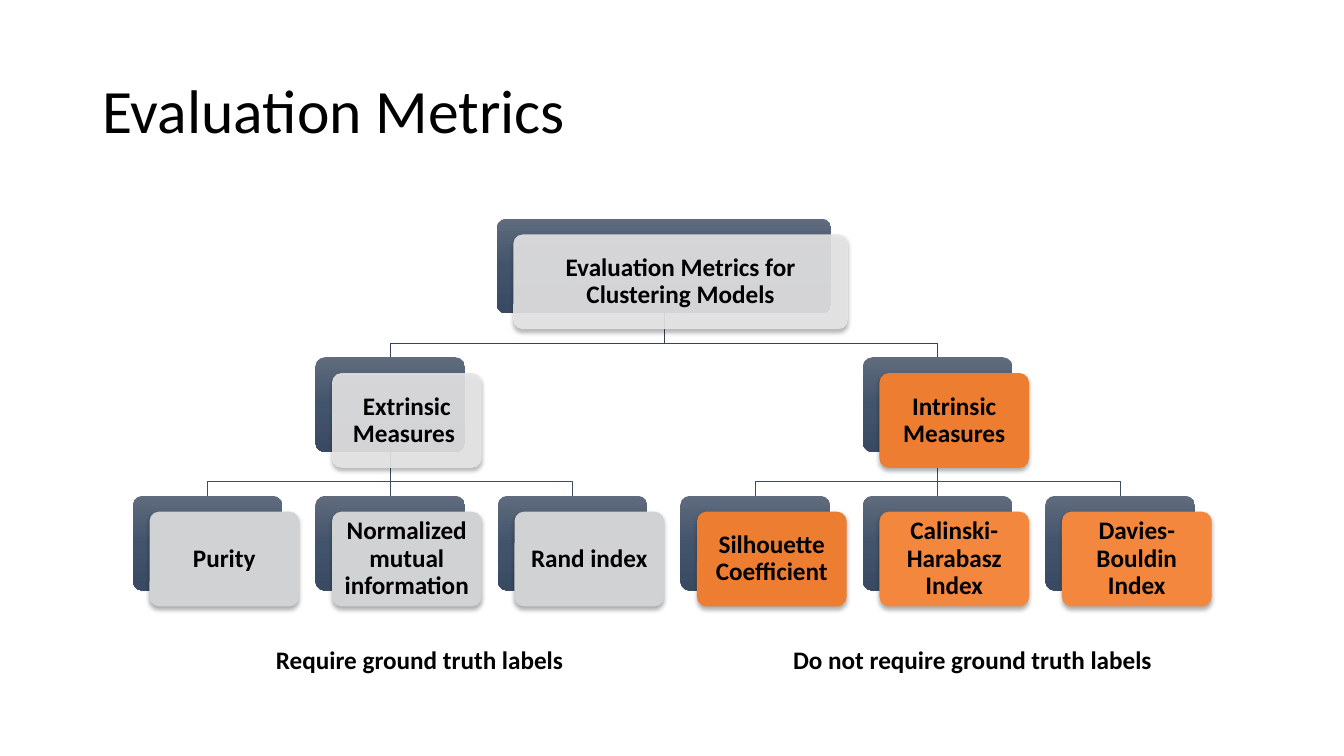
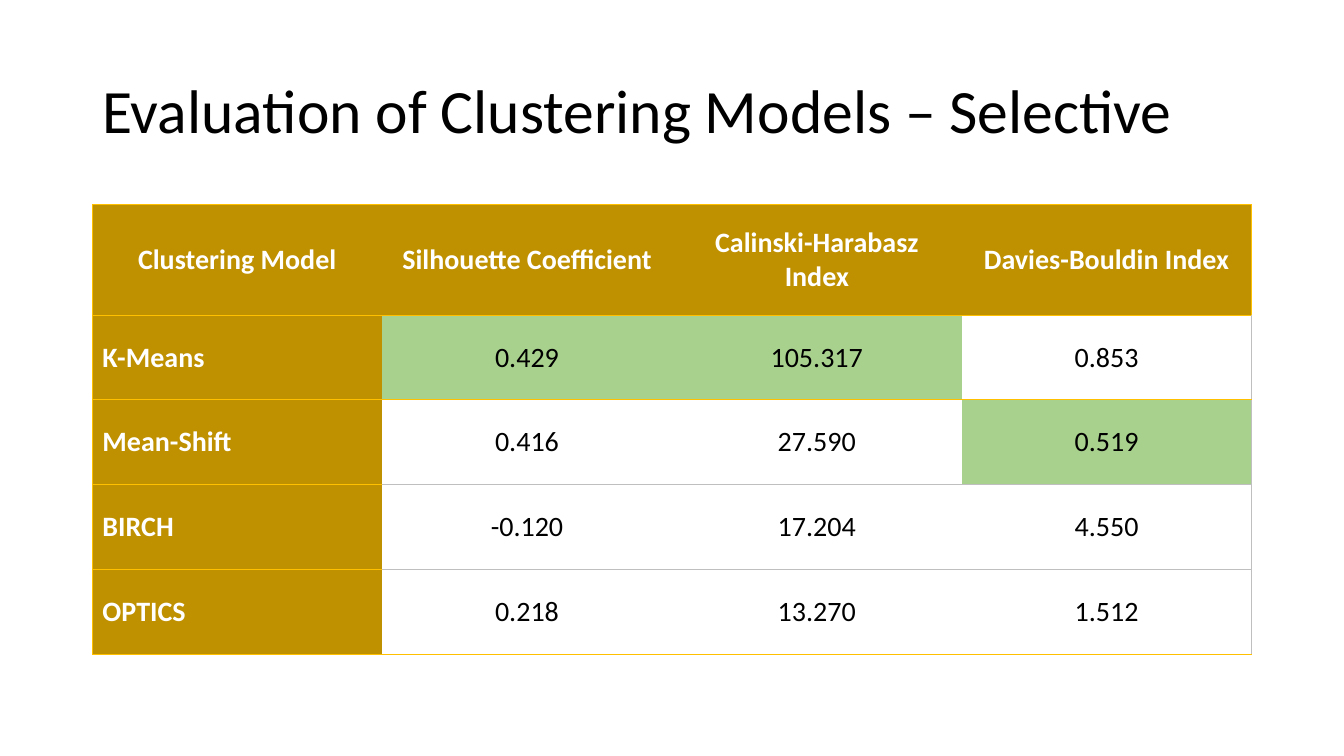
from copy import deepcopy
from dataclasses import dataclass
from typing import Any

from lxml import etree
from pptx import Presentation
from pptx.dml.color import RGBColor
from pptx.enum.shapes import MSO_CONNECTOR, MSO_SHAPE
from pptx.enum.text import MSO_ANCHOR, PP_ALIGN
from pptx.oxml.ns import qn
from pptx.util import Pt

ROUNDED = MSO_SHAPE.ROUNDED_RECTANGLE
STRAIGHT = MSO_CONNECTOR.STRAIGHT
MIDDLE, TOP = MSO_ANCHOR.MIDDLE, MSO_ANCHOR.TOP
LEFT, CENTER = PP_ALIGN.LEFT, PP_ALIGN.CENTER

BLACK, WHITE = "000000", "FFFFFF"
GRAY, PALE_GRAY = "D1D2D4", "E7E6E6"
ORANGE, LIGHT_ORANGE = "ED7D31", "F3873E"
GOLD, DARK_GOLD = "FFC000", "BF9000"
GREEN, RULE_GRAY = "A9D18E", "BFBFBF"
NAVY_STOPS = ((0, "606B7D"), (0.5, "42546C"), (1, "394A62"))

TITLE = {"name": "Calibri", "size": Pt(44), "bold": False}
LABEL = {"name": "Calibri", "size": Pt(18), "bold": True}
HEADING = {"name": "Calibri", "size": Pt(20), "bold": True}
VALUE = {"name": "Calibri", "size": Pt(20), "bold": False}

MARGIN, CONTENT_WIDTH = 66, 828
FIRST_CENTER, COLUMN_STEP = 148.4, 130.35
FIRST_TOP, LEVEL_STEP = 156.2, 99
NODE_WIDTH, ROOT_WIDTH, NODE_HEIGHT = 106.8, 239, 67.7
FRONT_X, FRONT_Y = 11.85, 11.3
BEND_RISE = 10.2
TABLE_TOP, HEADER_HEIGHT, ROW_HEIGHT = 146.3, 78.8, 60.5
NO_STYLE = "{2D5ABB26-0587-4C30-8999-92F81FD0307C}"


@dataclass(frozen=True)
class Node:
    text: str
    column: float
    level: int
    fill: str
    opacity: int = 100
    width: float = NODE_WIDTH
    children: tuple["Node", ...] = ()

    @property
    def center(self) -> float:
        return FIRST_CENTER + COLUMN_STEP * self.column

    @property
    def top(self) -> float:
        return FIRST_TOP + LEVEL_STEP * self.level


@dataclass(frozen=True)
class Caption:
    text: str
    left: float
    width: float


@dataclass(frozen=True)
class Model:
    name: str
    scores: tuple[str, ...]
    best: tuple[int, ...] = ()


EXTRINSIC = Node("Extrinsic Measures ", 1, 1, PALE_GRAY, 90, children=(
    Node("Purity", 0, 2, GRAY),
    Node("Normalized mutual information", 1, 2, GRAY),
    Node("Rand index", 2, 2, GRAY),
))
INTRINSIC = Node("Intrinsic Measures", 4, 1, ORANGE, children=(
    Node("Silhouette Coefficient", 3, 2, ORANGE),
    Node("Calinski-Harabasz Index", 4, 2, LIGHT_ORANGE),
    Node("Davies-Bouldin Index", 5, 2, LIGHT_ORANGE),
))
ROOT = Node("Evaluation Metrics for Clustering Models", 2.5, 0, PALE_GRAY, 90,
            ROOT_WIDTH, (EXTRINSIC, INTRINSIC))
CAPTIONS = (
    Caption("Require ground truth labels", 190, 243.4),
    Caption("Do not require ground truth labels", 559.4, 334.8),
)
HEADERS = ("Clustering Model", "Silhouette Coefficient",
           "Calinski-Harabasz Index", "Davies-Bouldin Index")
MODELS = (
    Model("K-Means", ("0.429", "105.317", "0.853"), (0, 1)),
    Model("Mean-Shift", ("0.416", "27.590", "0.519"), (2,)),
    Model("BIRCH", ("-0.120", "17.204", "4.550")),
    Model("OPTICS", ("0.218", "13.270", "1.512")),
)


def colour(value: str) -> RGBColor:
    return RGBColor.from_string(value)


def child(parent: Any, tag: str, **attributes: str) -> Any:
    return etree.SubElement(parent, qn(tag), attributes)


def write(frame: Any, text: str, font: dict, ink: str = BLACK,
          align: PP_ALIGN = LEFT, spacing: float = 1) -> None:
    para = frame.paragraphs[0]
    para.alignment = align
    para.line_spacing = spacing
    span = para.add_run()
    span.text = text
    for name, value in font.items():
        setattr(span.font, name, value)
    span.font.color.rgb = colour(ink)


def add_text(page: Any, text: str, left: float, top: float, width: float,
             height: float, font: dict, anchor: MSO_ANCHOR = TOP,
             spacing: float = 1) -> None:
    box = page.shapes.add_textbox(Pt(left), Pt(top), Pt(width), Pt(height))
    box.text_frame.word_wrap = True
    box.text_frame.vertical_anchor = anchor
    write(box.text_frame, text, font, spacing=spacing)


def add_page(deck: Any, title: str) -> Any:
    page = deck.slides.add_slide(deck.slide_layouts[6])
    add_text(page, title, MARGIN, 28.8, CONTENT_WIDTH, 104.4, TITLE, MIDDLE, 0.9)
    return page


def add_link(page: Any, parent: Node, target: Node) -> None:
    start = Pt(parent.center), Pt(parent.top + NODE_HEIGHT)
    end = Pt(target.center), Pt(target.top)
    if parent.column == target.column:
        link = page.shapes.add_connector(STRAIGHT, *start, *end)
        child(link._element.spPr, "a:effectLst")
    else:
        bend = Pt(target.top - BEND_RISE)
        outline = page.shapes.build_freeform(*start)
        outline.add_line_segments(
            [(start[0], bend), (end[0], bend), end], close=False)
        link = outline.convert_to_shape()
        link.fill.background()
        link.shadow.inherit = False
    link.line.color.rgb = colour("3E4C60" if parent.level else "364355")
    link.line.width = Pt(0.5)


def add_links(page: Any, node: Node) -> None:
    for target in node.children:
        add_link(page, node, target)
        add_links(page, target)


def add_card(page: Any, left: float, top: float, width: float) -> Any:
    card = page.shapes.add_shape(
        ROUNDED, Pt(left), Pt(top), Pt(width), Pt(NODE_HEIGHT))
    card.adjustments[0] = 0.1
    card.line.fill.background()
    card.shadow.inherit = False
    return card


def fill_navy(card: Any) -> None:
    card.fill.gradient()
    card.fill.gradient_angle = 270
    stops = card._element.spPr.find(".//" + qn("a:gsLst"))
    stops.insert(1, deepcopy(stops[0]))
    for stop, (position, value) in zip(card.fill.gradient_stops, NAVY_STOPS):
        stop.position = position
        stop.color.rgb = colour(value)


def fill_front(card: Any, node: Node) -> None:
    card.fill.solid()
    card.fill.fore_color.rgb = colour(node.fill)
    properties = card._element.spPr
    if node.opacity < 100:
        tint = properties.find(qn("a:solidFill"))[0]
        child(tint, "a:alpha", val=str(node.opacity * 1000))
    shadow = child(properties.find(qn("a:effectLst")), "a:outerShdw",
                   blurRad=str(Pt(3.5)), dist=str(Pt(2.2)), dir="5400000",
                   algn="ctr", rotWithShape="0")
    child(child(shadow, "a:srgbClr", val=BLACK), "a:alpha", val="32000")


def add_node(page: Any, node: Node) -> None:
    left = node.center - node.width / 2
    fill_navy(add_card(page, left, node.top, node.width))
    front = add_card(page, left + FRONT_X, node.top + FRONT_Y, node.width)
    fill_front(front, node)
    frame = front.text_frame
    frame.word_wrap = True
    frame.vertical_anchor = MIDDLE
    for side in ("left", "right", "top", "bottom"):
        setattr(frame, f"margin_{side}", Pt(5))
    write(frame, node.text, LABEL, align=CENTER, spacing=0.9)
    for target in node.children:
        add_node(page, target)


def add_cell(cell: Any, text: str, font: dict, ink: str, align: PP_ALIGN,
             fill: str | None, borders: dict[str, str]) -> None:
    properties = cell._tc.get_or_add_tcPr()
    for side, value in borders.items():
        line = child(properties, f"a:ln{side}", w=str(Pt(0.5)))
        child(child(line, "a:solidFill"), "a:srgbClr", val=value)
    if fill:
        cell.fill.solid()
        cell.fill.fore_color.rgb = colour(fill)
    else:
        cell.fill.background()
    cell.vertical_anchor = MIDDLE
    write(cell.text_frame, text, font, ink, align)


def cell_borders(row: int, column: int) -> dict[str, str]:
    borders = {}
    if column == 0:
        borders["L"] = GOLD
    if column == len(HEADERS) - 1:
        borders["R"] = RULE_GRAY if row else GOLD
    if row == 0:
        borders["T"] = GOLD
    borders["B"] = RULE_GRAY if column and row in (2, 3) else GOLD
    return borders


def add_scores(page: Any) -> None:
    height = HEADER_HEIGHT + ROW_HEIGHT * len(MODELS)
    table = page.shapes.add_table(
        len(MODELS) + 1, len(HEADERS), Pt(MARGIN), Pt(TABLE_TOP),
        Pt(CONTENT_WIDTH), Pt(height)).table
    table.first_row = table.horz_banding = False
    table._tbl.tblPr.find(qn("a:tableStyleId")).text = NO_STYLE
    for index, row in enumerate(table.rows):
        row.height = Pt(ROW_HEIGHT if index else HEADER_HEIGHT)
    for column, text in enumerate(HEADERS):
        add_cell(table.cell(0, column), text, HEADING, WHITE, CENTER,
                 DARK_GOLD, cell_borders(0, column))
    for row, model in enumerate(MODELS, 1):
        add_cell(table.cell(row, 0), model.name, HEADING, WHITE, LEFT,
                 DARK_GOLD, cell_borders(row, 0))
        for index, score in enumerate(model.scores):
            add_cell(table.cell(row, index + 1), score, VALUE, BLACK, CENTER,
                     GREEN if index in model.best else None,
                     cell_borders(row, index + 1))


def main() -> None:
    deck = Presentation()
    deck.slide_width, deck.slide_height = Pt(960), Pt(540)

    page = add_page(deck, "Evaluation Metrics")
    add_links(page, ROOT)
    add_node(page, ROOT)
    for caption in CAPTIONS:
        add_text(page, caption.text, caption.left, 456.5, caption.width, 29, LABEL)

    page = add_page(deck, "Evaluation of Clustering Models – Selective")
    add_scores(page)

    deck.save("out.pptx")


if __name__ == "__main__":
    main()
